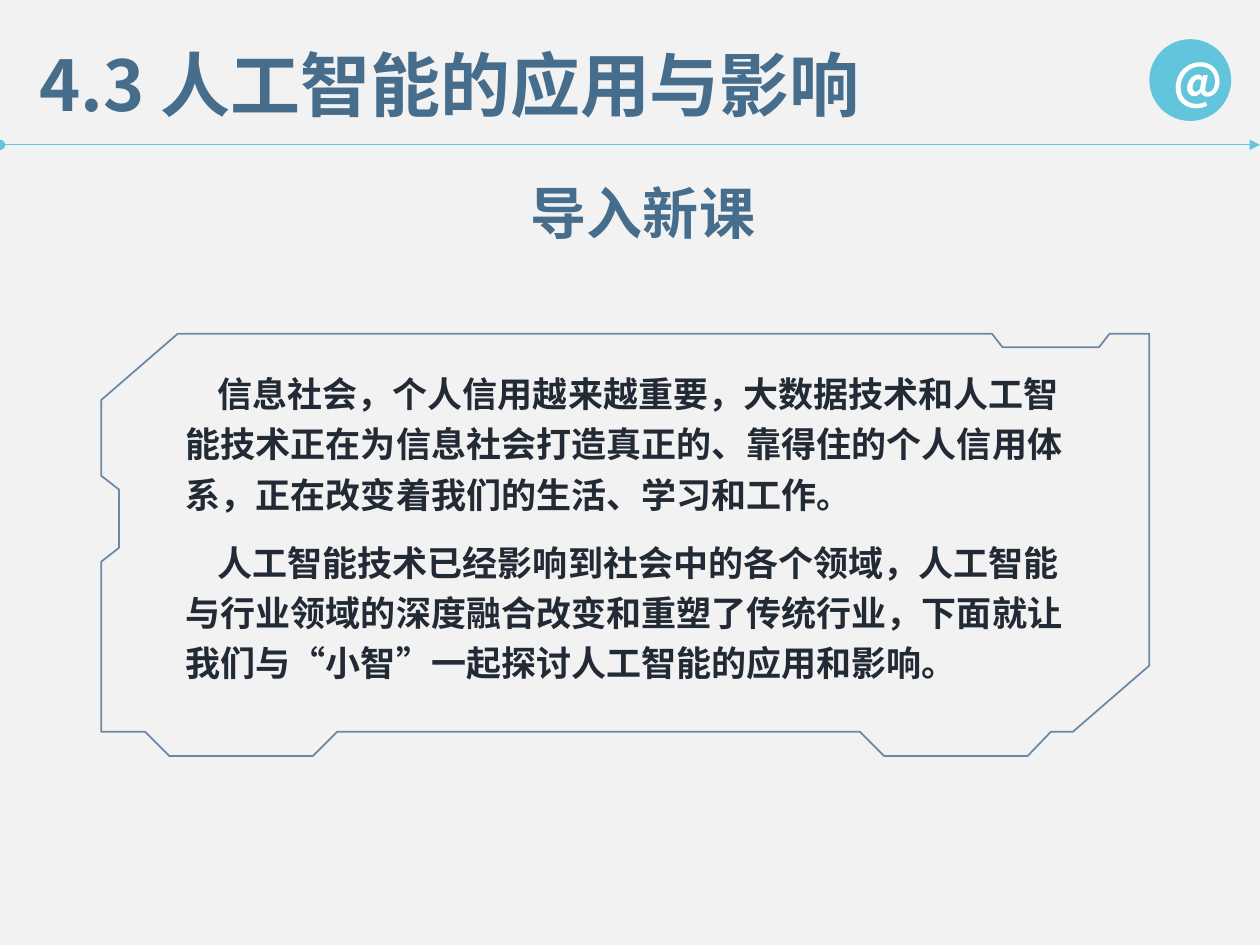
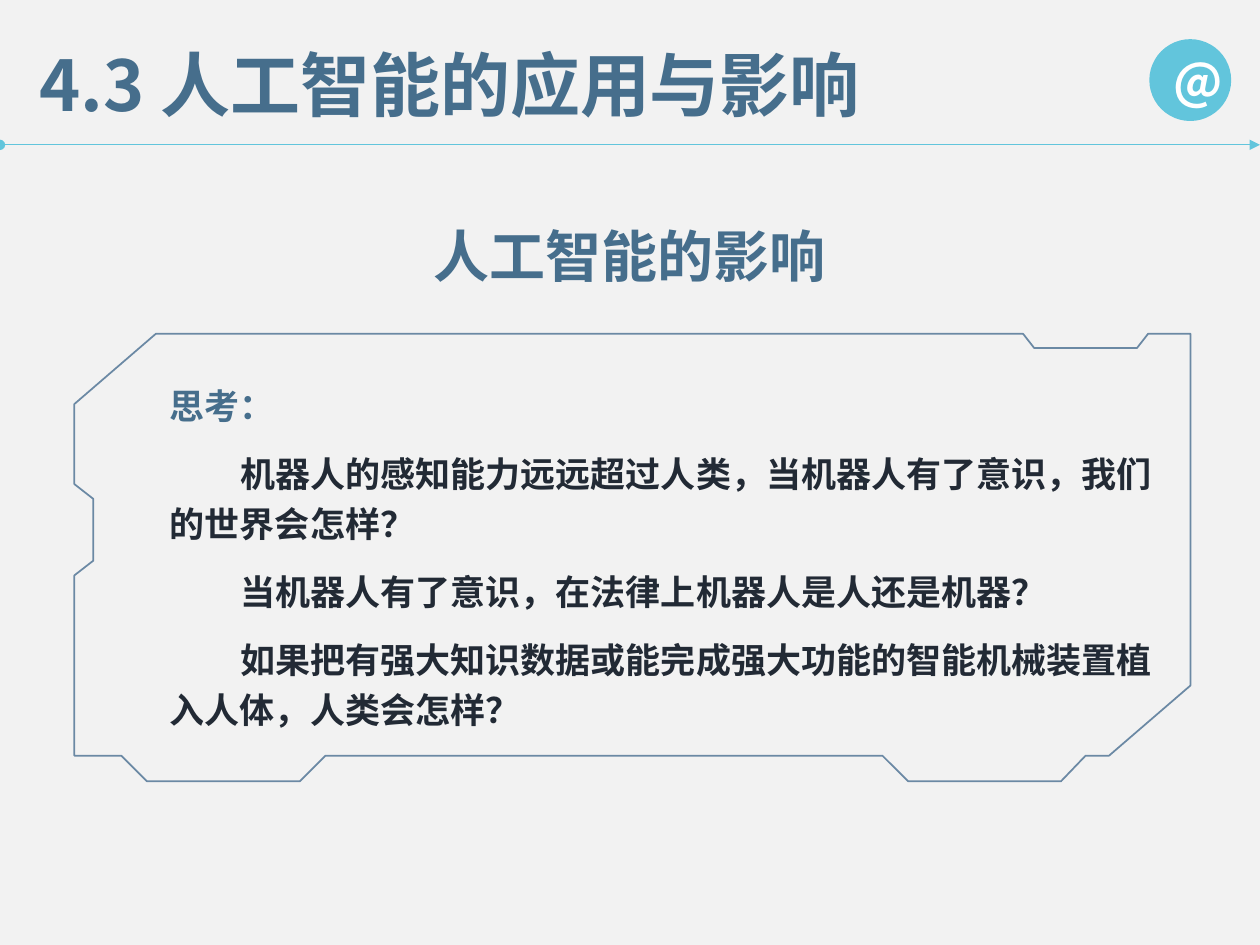
from lxml import etree
from pptx import Presentation
from pptx.dml.color import RGBColor
from pptx.enum.shapes import MSO_CONNECTOR, MSO_SHAPE
from pptx.enum.text import MSO_ANCHOR, MSO_AUTO_SIZE, PP_ALIGN
from pptx.oxml.ns import qn
from pptx.util import Cm, Pt

STRAIGHT = MSO_CONNECTOR.STRAIGHT
ELLIPSE = MSO_SHAPE.OVAL
TOP, MIDDLE = MSO_ANCHOR.TOP, MSO_ANCHOR.MIDDLE
LEFT, CENTER = PP_ALIGN.LEFT, PP_ALIGN.CENTER
NO_FIT = MSO_AUTO_SIZE.NONE

COLORS = {
    "background": "F2F2F2",
    "heading": "466E8C",
    "accent": "62C5DC",
    "body": "222A35",
    "frame": "1F4E79",
    "white": "FFFFFF",
}
CJK_FONT = "Noto Sans CJK SC"
LATIN_FONT = "Calibri"
SLIDE_W, SLIDE_H = 25.4, 19.05
CHAPTER = "4.3 人工智能的应用与影响"
TITLE_BOX = (0.54, 0.71, 18, 1.96)
BADGE_BOX = (23.17, 0.79, 1.65, 1.65)
RULE_Y = 2.92

# Frame corners in percent of the frame's width and height
FRAME_OUTLINE = [
    (74.7, 100), (88.4, 100), (90.6, 94.3), (92.7, 94.3), (100, 78.6),
    (100, 0), (96.2, 0), (95.2, 3.2), (86, 3.2), (85, 0), (7.3, 0),
    (0, 15.7), (0, 33.6), (1.7, 36.9), (1.7, 50.7), (0, 54), (0, 94.3),
    (4.2, 94.3), (6.5, 100), (20.2, 100), (22.5, 94.3), (72.4, 94.3),
]


def rgb(name):
    return RGBColor.from_string(COLORS[name])


def style_paragraph(paragraph, size, color, align=LEFT, font=CJK_FONT):
    paragraph.alignment = align
    for run in paragraph.runs:
        run.font.size = Pt(size)
        run.font.bold = True
        run.font.name = font
        run.font.color.rgb = rgb(color)
        east_asian = etree.SubElement(run.font._element, qn("a:ea"))
        east_asian.set("typeface", CJK_FONT)


def place(shape, box):
    shape.left, shape.top, shape.width, shape.height = map(Cm, box)


def prepare_frame(shape):
    text_frame = shape.text_frame
    text_frame.word_wrap = True
    text_frame.auto_size = NO_FIT
    text_frame.vertical_anchor = TOP
    return text_frame


def add_header(slide):
    # Chapter title
    place(slide.shapes.title, TITLE_BOX)
    title_frame = prepare_frame(slide.shapes.title)
    title_frame.text = CHAPTER
    style_paragraph(title_frame.paragraphs[0], 40, "heading")

    # Rule with a dot and an arrowhead
    rule = slide.shapes.add_connector(
        STRAIGHT, 0, Cm(RULE_Y), Cm(SLIDE_W), Cm(RULE_Y))
    rule.line.color.rgb = rgb("accent")
    rule.line.width = Pt(0.5)
    line_xml = rule.line._get_or_add_ln()
    for end, kind in (("a:headEnd", "oval"), ("a:tailEnd", "triangle")):
        etree.SubElement(line_xml, qn(end)).set("type", kind)
    etree.SubElement(rule._element.spPr, qn("a:effectLst"))

    # Round badge
    badge = slide.shapes.add_shape(ELLIPSE, *map(Cm, BADGE_BOX))
    badge.shadow.inherit = False
    badge.fill.solid()
    badge.fill.fore_color.rgb = rgb("accent")
    badge.line.fill.background()
    badge.text_frame.text = "@"
    badge.text_frame.vertical_anchor = MIDDLE
    style_paragraph(badge.text_frame.paragraphs[0], 28, "white", CENTER)


def add_outline_frame(slide, box):
    left, top, width, height = box
    corners = [(Cm(left + width * x / 100), Cm(top + height * y / 100))
               for x, y in FRAME_OUTLINE]
    builder = slide.shapes.build_freeform(*corners[0])
    builder.add_line_segments(corners[1:], close=True)
    frame = builder.convert_to_shape()
    frame.shadow.inherit = False
    frame.fill.background()
    frame.line.color.rgb = rgb("frame")
    frame.line.width = Pt(1)
    color_xml = frame.line._get_or_add_ln().find(".//" + qn("a:srgbClr"))
    etree.SubElement(color_xml, qn("a:alpha")).set("val", "64000")


def add_section_heading(slide, text, box):
    heading = slide.shapes.add_textbox(*map(Cm, box))
    text_frame = prepare_frame(heading)
    text_frame.text = text
    style_paragraph(text_frame.paragraphs[0], 32, "heading", CENTER)


def fill_body(slide, texts, box, indent, font, lead=None):
    body = slide.placeholders[1]
    place(body, box)
    text_frame = prepare_frame(body)
    text_frame.text = "\n".join(([lead] if lead else []) + texts)
    for index, paragraph in enumerate(text_frame.paragraphs):
        is_lead = bool(lead) and index == 0
        properties = paragraph._p.get_or_add_pPr()
        properties.set("marL", "0")
        properties.set("indent", str(0 if is_lead else Cm(indent)))
        etree.SubElement(properties, qn("a:buNone"))
        paragraph.line_spacing = 1.0 if is_lead else 1.2
        paragraph.space_before = Pt(10 if index else 0)
        style_paragraph(paragraph, 20, "heading" if is_lead else "body",
                        font=font)


def add_lesson_slide(prs, heading, heading_box, frame_box, body):
    slide = prs.slides.add_slide(prs.slide_layouts[1])
    add_outline_frame(slide, frame_box)
    add_header(slide)
    add_section_heading(slide, heading, heading_box)
    fill_body(slide, **body)


def main():
    prs = Presentation()
    prs.slide_width, prs.slide_height = Cm(SLIDE_W), Cm(SLIDE_H)
    background = prs.slide_master.background.fill
    background.solid()
    background.fore_color.rgb = rgb("background")

    # Introduction
    add_lesson_slide(
        prs, "导入新课", (9.27, 3.48, 7.39, 1.63), (2.04, 6.73, 21.13, 8.51),
        {
            "texts": [
                "信息社会，个人信用越来越重要，大数据技术和人工智能技术正在为"
                "信息社会打造真正的、靠得住的个人信用体系，正在改变着我们的"
                "生活、学习和工作。",
                "人工智能技术已经影响到社会中的各个领域，人工智能与行业领域的"
                "深度融合改变和重塑了传统行业，下面就让我们与“小智”一起探讨"
                "人工智能的应用和影响。",
            ],
            "box": (3.49, 7.21, 18.44, 6.76),
            "indent": 0.64,
            "font": CJK_FONT,
        })

    # Questions on the influence of AI
    add_lesson_slide(
        prs, "人工智能的影响", (5.92, 4.34, 13.54, 1.63),
        (1.5, 6.73, 22.5, 9.02),
        {
            "lead": "思考：",
            "texts": [
                "机器人的感知能力远远超过人类，当机器人有了意识，我们的世界会怎样？",
                "当机器人有了意识，在法律上机器人是人还是机器？",
                "如果把有强大知识数据或能完成强大功能的智能机械装置植入人体，"
                "人类会怎样？",
            ],
            "box": (3.17, 7.62, 20.35, 7.32),
            "indent": 1.42,
            "font": LATIN_FONT,
        })
    prs.save("out.pptx")


if __name__ == "__main__":
    main()
